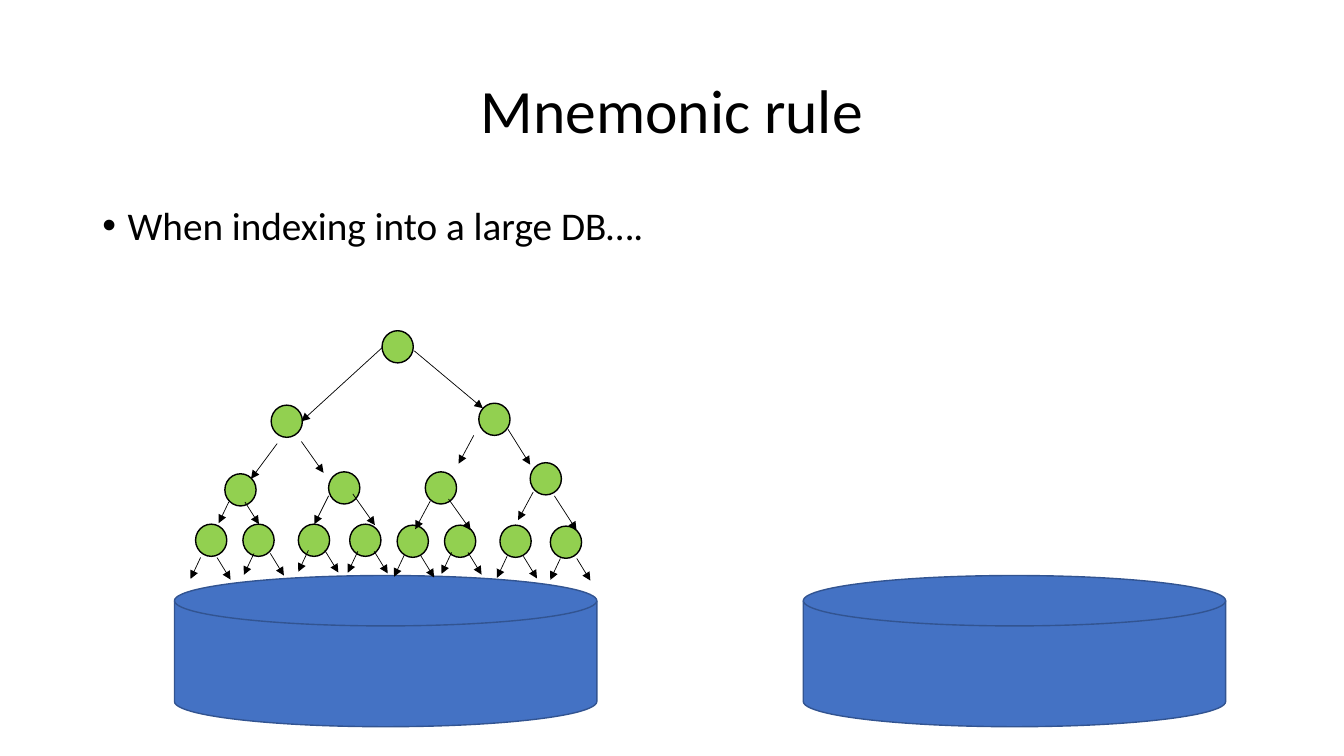
from dataclasses import dataclass

from lxml import etree
from pptx import Presentation
from pptx.dml.color import RGBColor
from pptx.enum.shapes import MSO_CONNECTOR, MSO_SHAPE
from pptx.enum.text import MSO_ANCHOR, MSO_AUTO_SIZE, PP_ALIGN
from pptx.oxml.ns import qn
from pptx.util import Pt

ELLIPSE = MSO_SHAPE.OVAL
DISK = MSO_SHAPE.FLOWCHART_MAGNETIC_DISK
STRAIGHT = MSO_CONNECTOR.STRAIGHT
LEFT, CENTER = PP_ALIGN.LEFT, PP_ALIGN.CENTER
TOP, MIDDLE = MSO_ANCHOR.TOP, MSO_ANCHOR.MIDDLE

FONT = "Calibri"
BLACK, GREEN, BLUE, NAVY = "000000", "92D050", "4472C4", "325491"
NODE_W, NODE_H = 22.3, 23


@dataclass(frozen=True)
class Arrow:
    x1: float
    y1: float
    x2: float
    y2: float


@dataclass(frozen=True)
class Node:
    x: float
    y: float
    left: Arrow
    right: Arrow


def leaf(x: float, y: float, fork_x: float, fork_y: float) -> Node:
    """A bottom node, whose two arrows point into the database."""
    right_x = fork_x + 11.7
    return Node(x, y,
                Arrow(fork_x, fork_y, fork_x - 7.2, fork_y + 15.3),
                Arrow(right_x, fork_y, right_x + 9.7, fork_y + 15.8))


# Tree nodes, bottom level first
NODES = [
    leaf(283.7, 375.1, 288.7, 396.7),
    leaf(317.5, 375.1, 322.6, 394.6),
    leaf(357.1, 375.1, 362.2, 397.4),
    leaf(393.1, 375.8, 400.3, 398.9),
    leaf(139.7, 374.4, 143.3, 398.2),
    leaf(173.5, 374.4, 181.4, 395.3),
    leaf(213.1, 374.4, 220.3, 393.1),
    leaf(249.8, 374.4, 255.6, 393.8),
    Node(160.6, 338.4, Arrow(163.4, 358.6, 156.2, 373.7),
         Arrow(175, 358.6, 185, 374.4)),
    Node(234.7, 337, Arrow(234.7, 354.2, 224.6, 374.4),
         Arrow(252, 352.8, 267.8, 375.1)),
    Node(303.8, 337, Arrow(307.4, 357.8, 296.6, 378),
         Arrow(320.4, 356.4, 336.2, 378.7)),
    Node(378.7, 330.5, Arrow(380.9, 351.4, 370.1, 371.5),
         Arrow(396, 354.2, 411.8, 378.7)),
    Node(342, 288, Arrow(338.4, 311, 327.6, 331.2),
         Arrow(362.9, 306.7, 378.7, 331.9)),
    Node(193.7, 289.4, Arrow(198, 316.8, 179.3, 342),
         Arrow(215.3, 315.4, 231.1, 337.7)),
    Node(272.9, 236.2, Arrow(272.9, 248.4, 215.3, 301),
         Arrow(295.9, 250.6, 344.9, 291.6)),
]


def color(value: str) -> RGBColor:
    return RGBColor.from_string(value)


def place(sp, x: float, y: float, w: float, h: float) -> None:
    sp.left, sp.top, sp.width, sp.height = Pt(x), Pt(y), Pt(w), Pt(h)


def write(sp, text: str, *, size: float, align=LEFT, anchor=TOP,
          bullet: str = "") -> None:
    tf = sp.text_frame
    tf.word_wrap = True
    tf.auto_size = MSO_AUTO_SIZE.NONE
    tf.vertical_anchor = anchor
    p = tf.paragraphs[0]
    if bullet:
        pPr = p._p.get_or_add_pPr()
        pPr.set("marL", str(Pt(18)))
        pPr.set("indent", str(Pt(-18)))
        etree.SubElement(pPr, qn("a:buFont"), typeface="Arial")
        etree.SubElement(pPr, qn("a:buChar"), char=bullet)
    p.alignment = align
    p.line_spacing = 0.9
    p.space_before = Pt(0)
    r = p.add_run()
    r.text = text
    r.font.name = FONT
    r.font.size = Pt(size)
    r.font.color.rgb = color(BLACK)


def add_shape(shapes, kind, x: float, y: float, w: float, h: float,
              fill: str, line: str) -> None:
    sp = shapes.add_shape(kind, Pt(x), Pt(y), Pt(w), Pt(h))
    sp.shadow.inherit = False
    sp.fill.solid()
    sp.fill.fore_color.rgb = color(fill)
    sp.line.color.rgb = color(line)
    sp.line.width = Pt(1)


def add_arrow(shapes, a: Arrow) -> None:
    sp = shapes.add_connector(STRAIGHT, Pt(a.x1), Pt(a.y1), Pt(a.x2), Pt(a.y2))
    sp.line.color.rgb = color(BLACK)
    sp.line.width = Pt(0.5)
    etree.SubElement(sp.line._get_or_add_ln(), qn("a:tailEnd"), type="triangle")
    etree.SubElement(sp._element.spPr, qn("a:effectLst"))


def main() -> None:
    prs = Presentation()
    prs.slide_width, prs.slide_height = Pt(960), Pt(540)
    s = prs.slides.add_slide(prs.slide_layouts[1])

    # Title and bullet
    title, body = s.placeholders
    place(title, 66, 28.8, 828, 104.4)
    write(title, "Mnemonic rule", size=44, align=CENTER, anchor=MIDDLE)
    place(body, 66, 144, 828, 39.6)
    write(body, "When indexing into a large DB….", size=28, bullet="•")

    # Databases
    for x in (124.6, 573.8):
        add_shape(s.shapes, DISK, x, 411.1, 301.7, 108, BLUE, NAVY)

    # Index tree: nodes, then arrows above them
    for node in NODES:
        add_shape(s.shapes, ELLIPSE, node.x, node.y, NODE_W, NODE_H, GREEN, BLACK)
    for node in NODES:
        add_arrow(s.shapes, node.left)
        add_arrow(s.shapes, node.right)

    prs.save("out.pptx")


if __name__ == "__main__":
    main()
